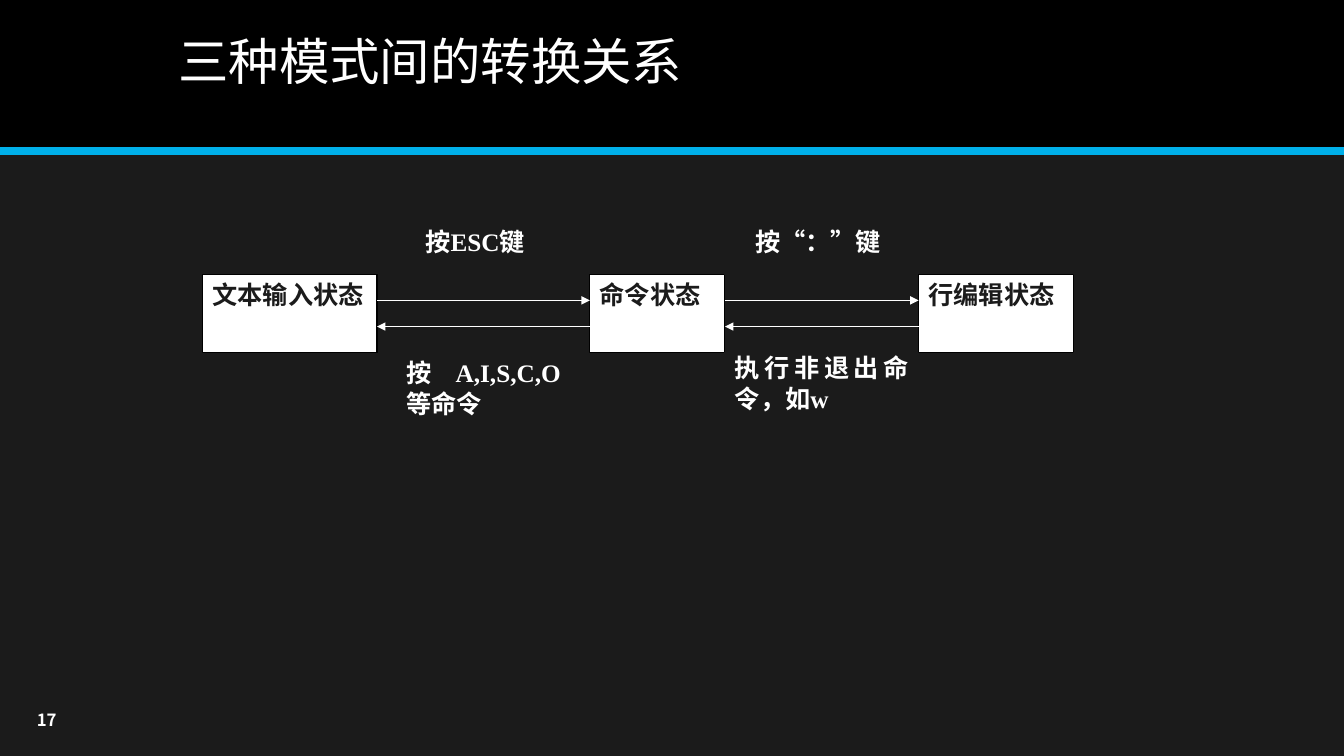
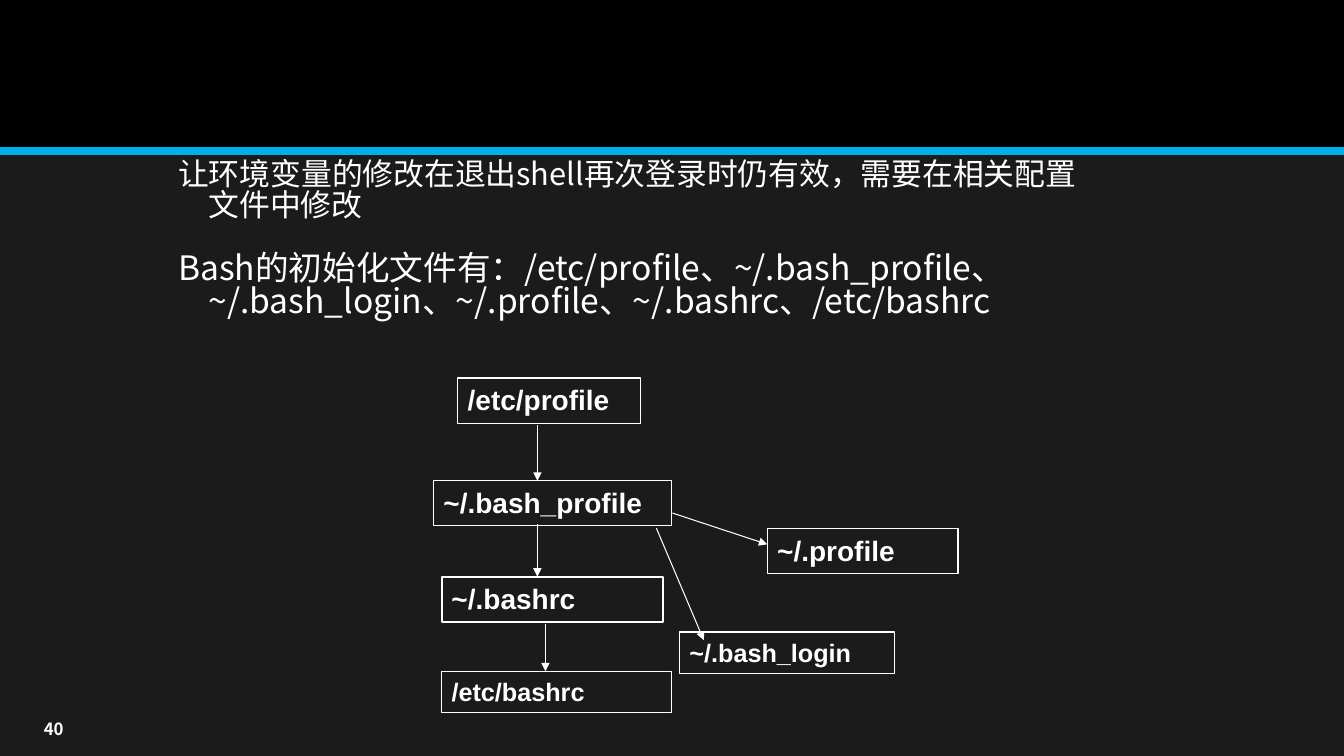
from dataclasses import dataclass
from typing import Optional

from lxml import etree
from pptx import Presentation
from pptx.dml.color import RGBColor
from pptx.enum.shapes import MSO_CONNECTOR, MSO_SHAPE
from pptx.enum.text import MSO_ANCHOR, PP_ALIGN
from pptx.oxml.ns import qn
from pptx.shapes.connector import Connector
from pptx.slide import Slide
from pptx.text.text import TextFrame, _Paragraph
from pptx.util import Inches, Pt

RECTANGLE = MSO_SHAPE.RECTANGLE
STRAIGHT = MSO_CONNECTOR.STRAIGHT
TOP, MIDDLE = MSO_ANCHOR.TOP, MSO_ANCHOR.MIDDLE
LEFT, RIGHT, JUSTIFY = PP_ALIGN.LEFT, PP_ALIGN.RIGHT, PP_ALIGN.JUSTIFY


@dataclass(frozen=True)
class Theme:
    page: str = "1B1B1B"
    band: str = "000000"
    accent: str = "00B0EA"
    light: str = "FFFFFF"
    main_font: str = "Noto Sans CJK SC"
    state_font: str = "Times New Roman"
    file_font: str = "Arial"
    title_size: float = 36
    number_size: float = 12
    state_size: float = 18
    width: float = 13.33
    height: float = 7.5
    band_height: float = 1.5
    hairline: float = 0.75
    cjk_spacing: float = 0.83


THEME = Theme()


@dataclass(frozen=True)
class Area:
    left: float
    top: float
    width: float
    height: float

    @property
    def right(self) -> float:
        return self.left + self.width

    def lengths(self) -> tuple:
        return tuple(Inches(n) for n in (self.left, self.top, self.width, self.height))


@dataclass(frozen=True)
class TextStyle:
    font: str
    size: float
    color: str = THEME.light
    bold: bool = False
    align: PP_ALIGN = LEFT
    spacing: Optional[float] = None


@dataclass(frozen=True)
class Box:
    text: str
    area: Area
    style: TextStyle
    line_width: float = THEME.hairline
    line: str = THEME.light
    fill: Optional[str] = None


@dataclass(frozen=True)
class Arrow:
    x1: float
    y1: float
    x2: float
    y2: float


TITLE = TextStyle(THEME.main_font, THEME.title_size, spacing=0.9)
NUMBER = TextStyle(THEME.main_font, THEME.number_size, bold=True, align=RIGHT)
STATE = TextStyle(THEME.state_font, THEME.state_size, THEME.page, True, JUSTIFY)
LABEL = TextStyle(THEME.state_font, THEME.state_size, bold=True, align=JUSTIFY)
FILE = TextStyle(THEME.file_font, 20, bold=True)
SMALL_FILE = TextStyle(THEME.file_font, 18, bold=True)


# Drawing functions
def rgb(color: str) -> RGBColor:
    return RGBColor.from_string(color)


def write(para: _Paragraph, text: str, style: TextStyle) -> None:
    para.text = text
    para.alignment = style.align
    if style.spacing:
        para.line_spacing = style.spacing
    font = para.font
    font.name, font.size, font.bold = style.font, Pt(style.size), style.bold
    font.color.rgb = rgb(style.color)
    if style.font == THEME.main_font:
        defaults = para._p.pPr.find(qn("a:defRPr"))
        etree.SubElement(defaults, qn("a:ea")).set("typeface", style.font)


def add_text(page: Slide, area: Area, text: str, style: TextStyle,
             anchor: MSO_ANCHOR = TOP) -> TextFrame:
    frame = page.shapes.add_textbox(*area.lengths()).text_frame
    frame.word_wrap = True
    frame.vertical_anchor = anchor
    write(frame.paragraphs[0], text, style)
    return frame


def add_box(page: Slide, box: Box) -> None:
    shape = page.shapes.add_shape(RECTANGLE, *box.area.lengths())
    shape.shadow.inherit = False
    if box.fill:
        shape.fill.solid()
        shape.fill.fore_color.rgb = rgb(box.fill)
    else:
        shape.fill.background()
    shape.line.color.rgb = rgb(box.line)
    shape.line.width = Pt(box.line_width)
    shape.text_frame.word_wrap = True
    shape.text_frame.vertical_anchor = TOP
    write(shape.text_frame.paragraphs[0], box.text, box.style)


def add_line(page: Slide, path: Arrow, color: str, width: float) -> Connector:
    ends = (Inches(n) for n in (path.x1, path.y1, path.x2, path.y2))
    line = page.shapes.add_connector(STRAIGHT, *ends)
    line.line.color.rgb = rgb(color)
    line.line.width = Pt(width)
    etree.SubElement(line._element.spPr, qn("a:effectLst"))
    return line


def add_arrow(page: Slide, arrow: Arrow) -> None:
    line = add_line(page, arrow, THEME.light, THEME.hairline)
    outline = line.line._get_or_add_ln()
    etree.SubElement(outline, qn("a:tailEnd")).set("type", "triangle")


def add_page(deck: Presentation, number: str, number_area: Area) -> Slide:
    page = deck.slides.add_slide(deck.slide_layouts[6])
    page.background.fill.solid()
    page.background.fill.fore_color.rgb = rgb(THEME.page)
    band = page.shapes.add_shape(
        RECTANGLE, *Area(0, 0, THEME.width, THEME.band_height).lengths())
    band.shadow.inherit = False
    band.fill.solid()
    band.fill.fore_color.rgb = rgb(THEME.band)
    band.line.fill.background()
    edge = Arrow(0, THEME.band_height, THEME.width, THEME.band_height)
    add_line(page, edge, THEME.accent, 6)
    add_text(page, number_area, number, NUMBER, MIDDLE)
    return page


# Slide 1: editor modes and the keys between them
def build_modes(deck: Presentation) -> None:
    page = add_page(deck, "17", Area(0.09, 6.99, 0.57, 0.3))
    add_text(page, Area(1.67, 0.28, 7.76, 0.72), "三种模式间的转换关系", TITLE, MIDDLE)

    top, height = 2.72, 0.78
    states = [
        Box(text, Area(left, top, width, height), STATE,
            line=THEME.band, fill=THEME.light)
        for text, left, width in (
            ("文本输入状态", 2.01, 1.73),
            ("命令状态", 5.85, 1.34),
            ("行编辑状态", 9.11, 1.54),
        )
    ]
    for state in states:
        add_box(page, state)

    # Each neighbouring pair is joined both ways, at thirds of the height
    forward, back = top + height / 3, top + height * 2 / 3
    for before, after in zip(states, states[1:]):
        start, end = before.area.right, after.area.left
        add_arrow(page, Arrow(start, forward, end, forward))
        add_arrow(page, Arrow(end, back, start, back))

    for text, area in (
        ("按ESC键", Area(4.12, 2.2, 1.54, 0.44)),
        ("按A,I,S,C,O等命令", Area(3.93, 3.5, 1.73, 0.68)),
        ("按“：”键", Area(7.39, 2.2, 1.54, 0.44)),
        ("执行非退出命令，如w", Area(7.19, 3.45, 1.92, 0.78)),
    ):
        add_text(page, area, text, LABEL)


# Slide 2: order of the shell's start-up files
def build_startup_files(deck: Presentation) -> None:
    page = add_page(deck, "40", Area(0.16, 7.08, 0.57, 0.3))
    intro = TextStyle(THEME.main_font, 22, spacing=THEME.cjk_spacing)
    listing = TextStyle(THEME.main_font, 24, spacing=THEME.cjk_spacing)
    body = add_text(page, Area(1.67, 1.55, 9.23, 5.95),
                    "让环境变量的修改在退出shell再次登录时仍有效，需要在相关配置文件中修改", intro)
    write(body.add_paragraph(),
          "Bash的初始化文件有：/etc/profile、~/.bash_profile、~/.bash_login、"
          "~/.profile、~/.bashrc、/etc/bashrc", listing)
    for para in body.paragraphs:
        para.space_before = Pt(22)
        layout = para._p.get_or_add_pPr()
        layout.set("marL", str(Inches(0.3)))
        layout.set("indent", str(Inches(-0.3)))

    for box in (
        Box("/etc/profile", Area(4.54, 3.75, 1.81, 0.45), FILE, 1),
        Box("~/.bash_profile", Area(4.3, 4.77, 2.36, 0.44), FILE),
        Box("~/.bashrc", Area(4.38, 5.72, 2.2, 0.45), FILE, 1.5),
        Box("/etc/bashrc", Area(4.38, 6.66, 2.28, 0.41), SMALL_FILE, 1),
        Box("~/.bash_login", Area(6.74, 6.27, 2.13, 0.41), SMALL_FILE, 1),
        Box("~/.profile", Area(7.61, 5.24, 1.89, 0.45), FILE, 1),
    ):
        add_box(page, box)

    for arrow in (
        Arrow(5.33, 4.22, 5.33, 4.77),
        Arrow(5.33, 5.2, 5.33, 5.72),
        Arrow(5.41, 6.19, 5.41, 6.66),
        Arrow(6.51, 5.24, 6.98, 6.35),
        Arrow(6.67, 5.09, 7.61, 5.4),
    ):
        add_arrow(page, arrow)


deck = Presentation()
deck.slide_width, deck.slide_height = Inches(THEME.width), Inches(THEME.height)
build_modes(deck)
build_startup_files(deck)
deck.save("out.pptx")
